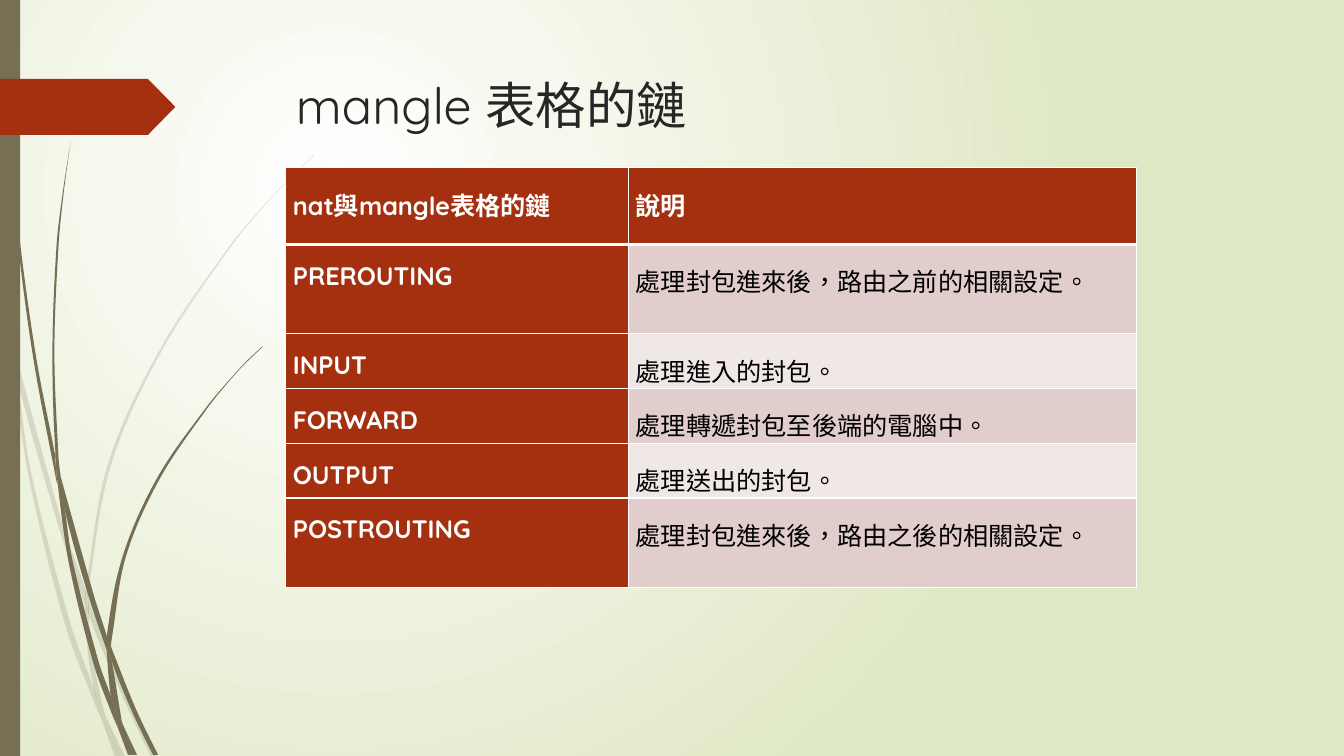
from dataclasses import dataclass

from lxml.etree import SubElement
from pptx import Presentation
from pptx.dml.color import RGBColor
from pptx.enum.lang import MSO_LANGUAGE_ID
from pptx.enum.shapes import MSO_SHAPE
from pptx.enum.text import MSO_ANCHOR
from pptx.oxml.ns import qn
from pptx.util import Cm, Pt


@dataclass(frozen=True)
class Theme:
    font: str = "Quicksand"
    title_size: int = 36
    table_size: int = 18
    title: str = "262626"
    text: str = "000000"
    white: str = "FFFFFF"
    backdrop: str = "DFE8C4"
    grass: str = "766F54"
    accent: str = "A53010"
    bands: tuple = ("E1CDCC", "F0E8E7")


THEME = Theme()
GRASS_UNIT = Cm(2.54) / 100
FAINT = 20

# Outlines of the grass pieces, in grass units
FAINT_GRASS = [
    [(11, 350), (9, 322), (0, 282), (0, 299), (10, 344)],
    [(58, 522), (84, 599), (85, 586), (62, 520), (14, 345), (17, 376)],
    [(92, 607), (88, 596), (88, 610), (123, 694), (150, 751), (155, 751), (127, 692)],
    [(119, 751), (124, 751), (105, 711)],
    [(93, 683), (70, 619), (31, 469), (17, 376), (11, 350), (28, 470), (65, 621), (92, 693),
     (101, 714), (99, 707)],
    [(84, 599), (87, 646), (93, 683), (96, 692), (105, 711), (103, 706), (91, 646), (88, 610),
     (88, 608)],
    [(88, 584), (110, 462), (160, 349), (229, 245), (268, 198), (290, 175), (312, 154),
     (312, 153), (289, 175), (268, 197), (228, 244), (158, 348), (107, 461), (85, 584),
     (85, 586), (88, 596)],
    [(101, 714), (114, 751), (119, 751)],
    [(88, 608), (88, 610), (88, 596), (85, 586), (84, 599)],
    [(96, 692), (93, 683), (99, 707), (101, 714), (119, 751), (105, 711)],
]
DARK_GRASS = [
    [(7, 110), (17, 233), (33, 355), (56, 477), (57, 481), (55, 457), (55, 453), (36, 355),
     (19, 232), (8, 109), (5, 48), (4, 0), (3, 0), (4, 48)],
    [(88, 592), (106, 645), (106, 633), (106, 631), (93, 590), (60, 472), (64, 505)],
    [(113, 649), (110, 641), (111, 656), (132, 708), (152, 749), (157, 749), (136, 706)],
    [(110, 691), (98, 657), (72, 556), (64, 505), (57, 477), (68, 557), (93, 659), (111, 708),
     (117, 722), (116, 717)],
    [(60, 472), (58, 453), (54, 349), (58, 245), (63, 193), (70, 141), (62, 193), (56, 245),
     (52, 349), (55, 449)],
    [(133, 749), (136, 749), (122, 719)],
    [(57, 477), (64, 505), (60, 472), (55, 449), (55, 453)],
    [(111, 633), (125, 552), (158, 476), (205, 406), (231, 374), (245, 359), (261, 344),
     (260, 344), (245, 358), (231, 373), (204, 405), (156, 474), (122, 551), (106, 631),
     (110, 641)],
    [(117, 722), (127, 749), (131, 749)],
    [(106, 645), (110, 691), (116, 706), (122, 719), (121, 716), (111, 656), (109, 651)],
    [(106, 645), (109, 651), (111, 656), (110, 641), (106, 631), (106, 633)],
    [(116, 706), (110, 691), (116, 717), (117, 722), (130, 749), (133, 749), (122, 719)],
]

TABLE_ROWS = [
    ("nat與mangle表格的鏈", "說明"),
    ("PREROUTING", "處理封包進來後，路由之前的相關設定。"),
    ("INPUT", "處理進入的封包。"),
    ("FORWARD", "處理轉遞封包至後端的電腦中。"),
    ("OUTPUT", "處理送出的封包。"),
    ("POSTROUTING", "處理封包進來後，路由之後的相關設定。"),
]


def rgb(color):
    return RGBColor.from_string(color)


def paint(shape, color, alpha=100):
    shape.shadow.inherit = False
    shape.fill.solid()
    shape.fill.fore_color.rgb = rgb(color)
    shape.line.fill.background()
    if alpha < 100:
        clr = shape.element.spPr.find(f"{qn('a:solidFill')}/{qn('a:srgbClr')}")
        SubElement(clr, qn("a:alpha"), val=str(alpha * 1000))


def add_run(p, text, size, color, bold=False):
    r = p.add_run()
    r.text = text
    r.font.name = THEME.font
    r.font.size = Pt(size)
    r.font.bold = bold
    r.font.color.rgb = rgb(color)
    r.font.language_id = MSO_LANGUAGE_ID.TRADITIONAL_CHINESE


def background(s):
    fill = s.background.fill
    fill.gradient()
    for stop, color in zip(fill.gradient_stops, (THEME.white, THEME.backdrop)):
        stop.color.rgb = rgb(color)
    # Radial gradient centred in the upper left
    grad = s.element.find(f".//{qn('a:gradFill')}")
    grad.remove(grad.find(qn("a:lin")))
    radial = SubElement(grad, qn("a:path"), path="circle")
    SubElement(radial, qn("a:fillToRect"), l="50000", t="50000", r="100000", b="100000")


def curve_direction(before, here, after):
    """Unit tangent at a point, or zero where the outline has a corner."""
    a, b = here - before, after - here
    if (a * b.conjugate()).real < 0.8 * abs(a) * abs(b):
        return 0
    return (after - before) / abs(after - before)


def bend(shape):
    """Turn the straight sides of a freeform into Bézier curves."""
    outline = shape.element.find(f".//{qn('a:path')}")
    points = [complex(int(pt.get("x")), int(pt.get("y"))) for pt in outline.iter(qn("a:pt"))]
    n = len(points)
    tangents = [curve_direction(points[i - 1], points[i], points[(i + 1) % n]) for i in range(n)]
    for side in outline.findall(qn("a:lnTo")):
        outline.remove(side)
    close = outline.find(qn("a:close"))
    for i in range(n):
        k = (i + 1) % n
        reach = abs(points[k] - points[i]) / 3
        curve = SubElement(outline, qn("a:cubicBezTo"))
        for z in (points[i] + tangents[i] * reach, points[k] - tangents[k] * reach, points[k]):
            SubElement(curve, qn("a:pt"), x=str(round(z.real)), y=str(round(z.imag)))
        close.addprevious(curve)


def grass(s, x, y, pieces, alpha=100):
    for piece in pieces:
        outline = [(x + u * GRASS_UNIT, y + v * GRASS_UNIT) for u, v in piece]
        builder = s.shapes.build_freeform(*outline[0])
        builder.add_line_segments(outline[1:], close=True)
        shape = builder.convert_to_shape()
        bend(shape)
        paint(shape, THEME.grass, alpha)


def side_decor(s, x, y, height):
    grass(s, x, y, FAINT_GRASS, FAINT)
    grass(s, x, y, DARK_GRASS)
    # Bar along the edge
    paint(s.shapes.add_shape(MSO_SHAPE.RECTANGLE, x, y, Cm(0.51), height), THEME.grass)
    # Pointed tag beside the title
    tag = s.shapes.add_shape(MSO_SHAPE.PENTAGON, x, y + Cm(1.99), Cm(4.42), Cm(1.41))
    tag.adjustments[0] = 0.49
    paint(tag, THEME.accent)


def title(s, x, y, width, height):
    tf = s.shapes.add_textbox(x, y, width, height).text_frame
    tf.word_wrap = True
    tf.vertical_anchor = MSO_ANCHOR.TOP
    add_run(tf.paragraphs[0], "mangle 表格的鏈", THEME.title_size, THEME.title)


def cell_borders(cell, top, bottom):
    tcPr = cell._tc.get_or_add_tcPr()
    for i, (side, width) in enumerate((("L", 1), ("R", 1), ("T", top), ("B", bottom))):
        ln = SubElement(tcPr, qn(f"a:ln{side}"), w=str(Pt(width)))
        SubElement(SubElement(ln, qn("a:solidFill")), qn("a:srgbClr"), val=THEME.white)
        tcPr.insert(i, ln)


def chain_table(s, x, y, width, height):
    table = s.shapes.add_table(len(TABLE_ROWS), 2, x, y, width, height).table
    table.columns[0].width = Cm(8.64)
    table.columns[1].width = width - Cm(8.64)
    for row, row_height in zip(table.rows, (1.93, 2.25, 1.38, 1.38, 1.38, 2.25)):
        row.height = Cm(row_height)
    for i, texts in enumerate(TABLE_ROWS):
        for j, text in enumerate(texts):
            cell = table.cell(i, j)
            strong = i == 0 or j == 0
            cell.margin_left = cell.margin_right = Cm(0.18)
            cell.margin_top = cell.margin_bottom = 0
            cell.fill.solid()
            cell.fill.fore_color.rgb = rgb(THEME.accent if strong else THEME.bands[(i - 1) % 2])
            cell_borders(cell, top=3 if i == 1 else 1, bottom=3 if i == 0 else 1)
            p = cell.text_frame.paragraphs[0]
            p.line_spacing = 1.5
            add_run(p, text, THEME.table_size, THEME.white if strong else THEME.text, strong)


def main():
    prs = Presentation()
    prs.slide_width, prs.slide_height = Cm(33.87), Cm(19.05)
    s = prs.slides.add_slide(prs.slide_layouts[6])
    background(s)
    side_decor(s, 0, 0, prs.slide_height)
    title(s, Cm(7.21), Cm(1.74), Cm(24.77), Cm(3.56))
    chain_table(s, Cm(7.2), Cm(4.23), Cm(21.44), Cm(10.57))
    prs.save("out.pptx")


if __name__ == "__main__":
    main()
